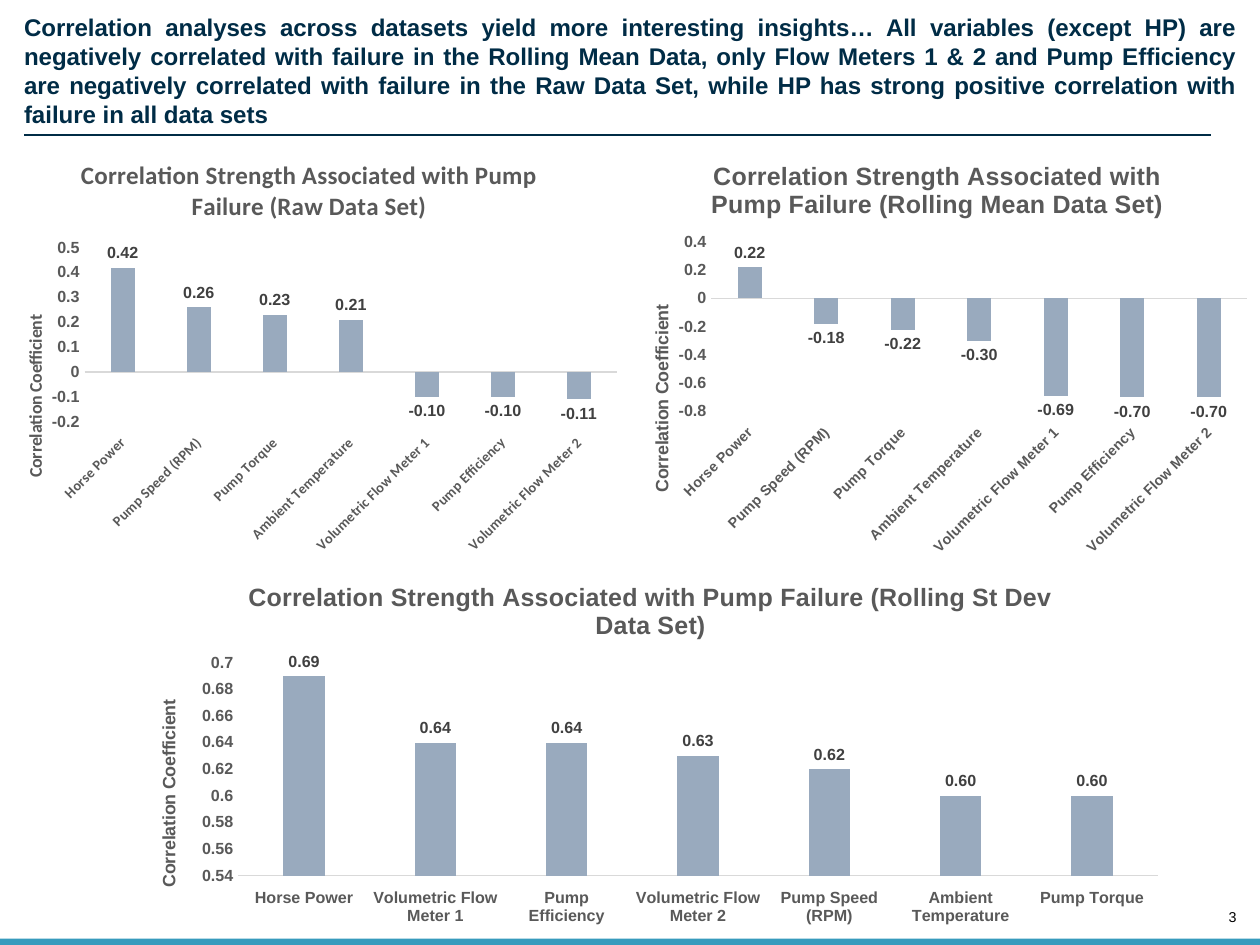
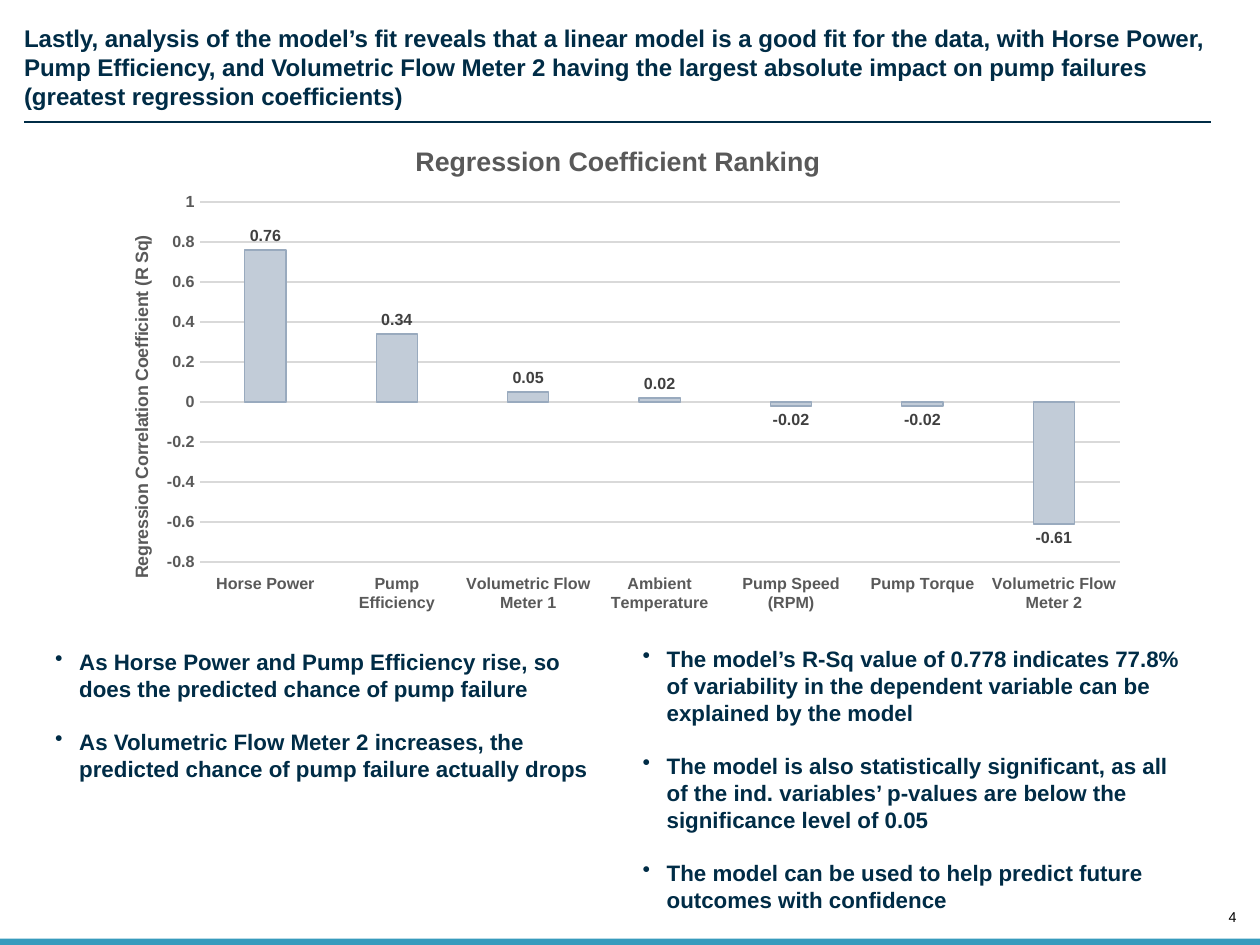
from pptx import Presentation
from pptx.chart.data import CategoryChartData
from pptx.dml.color import RGBColor
from pptx.enum.chart import XL_CHART_TYPE, XL_LABEL_POSITION, XL_TICK_LABEL_POSITION, XL_TICK_MARK
from pptx.enum.shapes import MSO_CONNECTOR, MSO_SHAPE
from pptx.enum.text import MSO_ANCHOR, PP_ALIGN
from pptx.oxml import parse_xml
from pptx.oxml.ns import nsdecls, qn
from pptx.util import Pt

WIDE, HIGH = 705.6, 529.2
NAVY, TEAL, STEEL, PALE = "002C46", "379BBD", "99AABE", "C2CCD8"
GREY, DARK, RULE, BLACK = "595959", "404040", "D9D9D9", "000000"
POWER, SPEED, TORQUE, HEAT = "Horse Power", "Pump Speed (RPM)", "Pump Torque", "Ambient Temperature"
FLOW1, FLOW2, YIELD = "Volumetric Flow Meter 1", "Volumetric Flow Meter 2", "Pump Efficiency"
RANKS = [POWER, SPEED, TORQUE, HEAT, FLOW1, YIELD, FLOW2]
COEFF = "Correlation Coefficient"
HEAD = "Correlation Strength Associated with Pump Failure "


def tint(code):
    """Turn a hex string into a colour."""
    return RGBColor.from_string(code)


def style(font, size, color, face="Arial", bold=True):
    """Set the look of a font."""
    font.size, font.name, font.bold = Pt(size), face, bold
    font.color.rgb = tint(color)


def stroke(line, color):
    """Draw a thin line in one colour."""
    line.color.rgb, line.width = tint(color), Pt(0.75)


def write(slide, box, text, size, color=NAVY, bold=True, align=None, inset=(0, 0, 0, 0),
          anchor=MSO_ANCHOR.TOP, wrap=True, bullet=False, gap=0):
    """Place a text box with one paragraph for each line of text."""
    frame = slide.shapes.add_textbox(*map(Pt, box)).text_frame
    frame.word_wrap, frame.vertical_anchor = wrap, anchor
    (frame.margin_left, frame.margin_top,
     frame.margin_right, frame.margin_bottom) = map(Pt, inset)
    for i, part in enumerate(text.split("\n")):
        para = frame.paragraphs[0] if i == 0 else frame.add_paragraph()
        para.alignment, para.space_before = align, Pt(gap if i else 0)
        run = para.add_run()
        run.text = part
        style(run.font, size, color, bold=bold)
        if bullet:
            props = para._p.get_or_add_pPr()
            props.set("marL", str(Pt(13.5)))
            props.set("indent", str(-Pt(13.5)))
            props.append(parse_xml(f'<a:buChar {nsdecls("a")} char="•"/>'))


def page(deck, number, title, box, rule, align=None):
    """Start a slide with its title, rule, band and page number."""
    slide = deck.slides.add_slide(deck.slide_layouts[6])
    write(slide, (682.5, 509, 10, 9.4), str(number), 8, BLACK, bold=False,
          align=PP_ALIGN.RIGHT, anchor=MSO_ANCHOR.BOTTOM, wrap=False)
    band = slide.shapes.add_shape(MSO_SHAPE.RECTANGLE, 0, Pt(HIGH - 3.6), Pt(WIDE), Pt(3.6))
    band.shadow.inherit = False
    band.fill.solid()
    band.fill.fore_color.rgb = tint(TEAL)
    band.line.fill.background()
    write(slide, box, title, 13.5, align=align)
    line = slide.shapes.add_connector(MSO_CONNECTOR.STRAIGHT, Pt(13.5), Pt(rule), Pt(678), Pt(rule))
    stroke(line.line, NAVY)
    line._element.spPr.append(parse_xml(f'<a:effectLst {nsdecls("a")}/>'))
    return slide


def layout(x, y, w=None, h=None):
    """Build a manual chart layout from fractions of the chart."""
    modes = '<c:xMode val="edge"/><c:yMode val="edge"/>'
    target, size = "", ""
    if w:
        target = '<c:layoutTarget val="inner"/>'
        size = f'<c:w val="{w}"/><c:h val="{h}"/>'
    return parse_xml(f'<c:layout {nsdecls("c")}><c:manualLayout>{target}{modes}'
                     f'<c:x val="{x}"/><c:y val="{y}"/>{size}</c:manualLayout></c:layout>')


def place(part, node):
    """Replace the layout of a chart part."""
    old = part.find(qn("c:layout"))
    if old is not None:
        part.remove(old)
    tx = part.find(qn("c:tx"))
    if tx is None:
        part.insert(0, node)
    else:
        tx.addnext(node)


def label(owner, text, size, face):
    """Give a chart or an axis its title."""
    frame = owner.text_frame
    frame.text = text
    style(frame.paragraphs[0].runs[0].font, size, GREY, face)


def bars(slide, box, title, names, vals, span, plot, mark, axis=COEFF, size=14, face="Arial",
         small=9, turn=False, fill=STEEL, edge=None, grid=False):
    """Draw a column chart; span is low, high and step."""
    data = CategoryChartData()
    data.categories = names
    data.add_series("Series 1", vals)
    chart = slide.shapes.add_chart(XL_CHART_TYPE.COLUMN_CLUSTERED, *map(Pt, box), data).chart
    style(chart.font, 10, BLACK, bold=False)
    chart.has_legend, chart.has_title = False, True
    label(chart.chart_title, title, size, face)
    chart.chart_title.include_in_layout = False
    place(chart._chartSpace.chart.plotArea, layout(*plot))

    cat, val = chart.category_axis, chart.value_axis
    for ax in (cat, val):
        ax.major_tick_mark = ax.minor_tick_mark = XL_TICK_MARK.NONE
    cat.tick_label_position = XL_TICK_LABEL_POSITION.LOW
    style(cat.tick_labels.font, small, GREY, face)
    stroke(cat.format.line, RULE)
    if turn:
        cat._element.find(qn("c:txPr")).find(qn("a:bodyPr")).set("rot", "-2700000")
    style(val.tick_labels.font, 9, GREY)
    val.tick_labels.number_format, val.tick_labels.number_format_is_linked = "General", False
    val.format.line.fill.background()
    val.minimum_scale, val.maximum_scale, val.major_unit = span
    val.has_major_gridlines = grid
    if grid:
        stroke(val.major_gridlines.format.line, RULE)
    val.has_title = True
    label(val.axis_title, axis, 10, face)
    body = val.axis_title.text_frame._txBody.find(qn("a:bodyPr"))
    body.set("rot", "-5400000")
    body.set("vert", "horz")
    place(val.axis_title._element, layout(*mark))

    group = chart.plots[0]
    group.gap_width, group.overlap, group.vary_by_categories = 219, -27, False
    series = group.series[0]
    series.invert_if_negative = False
    series.format.fill.solid()
    series.format.fill.fore_color.rgb = tint(fill)
    if edge:
        stroke(series.format.line, edge)
    tags = series.data_labels
    tags.show_value, tags.position = True, XL_LABEL_POSITION.OUTSIDE_END
    tags.number_format, tags.number_format_is_linked = "#,##0.00", False
    style(tags.font, 9, DARK)


def links(deck):
    """Build the slide of three correlation charts."""
    slide = page(deck, 3, "Correlation analyses across datasets yield more interesting insights… "
                 "All variables (except HP) are negatively correlated with failure in the Rolling "
                 "Mean Data, only Flow Meters 1 & 2 and Pump Efficiency are negatively correlated "
                 "with failure in the Raw Data Set, while HP has strong positive correlation with "
                 "failure in all data sets", (13.5, 7.2, 679, 67.7), 75.6, PP_ALIGN.JUSTIFY)
    bars(slide, (-6.5, 77, 359.3, 237.6), HEAD + "(Raw Data Set)", RANKS,
         [0.42, 0.26, 0.23, 0.21, -0.1, -0.1, -0.11], (-0.2, 0.5, 0.1),
         (0.15, 0.26, 0.83, 0.41), (0.05, 0.41), face="Calibri", small=8, turn=True)
    bars(slide, (344.2, 78.5, 361.4, 237.6), HEAD + "(Rolling Mean Data Set)", RANKS,
         [0.22, -0.18, -0.22, -0.3, -0.69, -0.7, -0.7], (-0.8, 0.4, 0.2),
         (0.15, 0.24, 0.83, 0.4), (0.05, 0.38), small=8, turn=True)
    bars(slide, (68.4, 314.6, 591.8, 209.5), HEAD + "(Rolling St Dev Data Set)",
         [POWER, FLOW1, YIELD, FLOW2, SPEED, HEAT, TORQUE],
         [0.69, 0.64, 0.64, 0.63, 0.62, 0.6, 0.6], (0.54, 0.7, 0.02),
         (0.11, 0.27, 0.87, 0.57), (0.03, 0.36))


def model(deck):
    """Build the slide of regression results."""
    slide = page(deck, 4, "Lastly, analysis of the model’s fit reveals that a linear model is a good "
                 "fit for the data, with Horse Power, Pump Efficiency, and Volumetric Flow Meter 2 "
                 "having the largest absolute impact on pump failures (greatest regression "
                 "coefficients)", (13.5, 13, 672.5, 49), 68.4)
    bars(slide, (53.3, 68.4, 585.4, 280.1), "Regression Coefficient Ranking",
         [POWER, YIELD, FLOW1, HEAT, SPEED, TORQUE, FLOW2],
         [0.76, 0.34, 0.05, 0.02, -0.02, -0.02, -0.61], (-0.8, 1, 0.2),
         (0.1, 0.16, 0.88, 0.72), (0.03, 0.22), axis="Regression Correlation Coefficient (R Sq)",
         size=15, fill=PALE, edge=STEEL, grid=True)
    notes = [
        ((23.8, 359.3, 321.8, 82.8),
         "As Horse Power and Pump Efficiency rise, so does the predicted chance of pump failure\n"
         "As Volumetric Flow Meter 2 increases, the predicted chance of pump failure actually drops"),
        ((352.8, 357.8, 321.8, 158.4),
         "The model’s R-Sq value of 0.778 indicates 77.8% of variability in the dependent variable "
         "can be explained by the model\n"
         "The model is also statistically significant, as all of the ind. variables’ p-values are "
         "below the significance level of 0.05\n"
         "The model can be used to help predict future outcomes with confidence")]
    for box, text in notes:
        write(slide, box, text, 12.5, inset=(7.2, 3.6, 7.2, 3.6), bullet=True, gap=15)


def main():
    """Build and save the deck."""
    deck = Presentation()
    deck.slide_width, deck.slide_height = Pt(WIDE), Pt(HIGH)
    links(deck)
    model(deck)
    deck.save("out.pptx")


if __name__ == "__main__":
    main()
